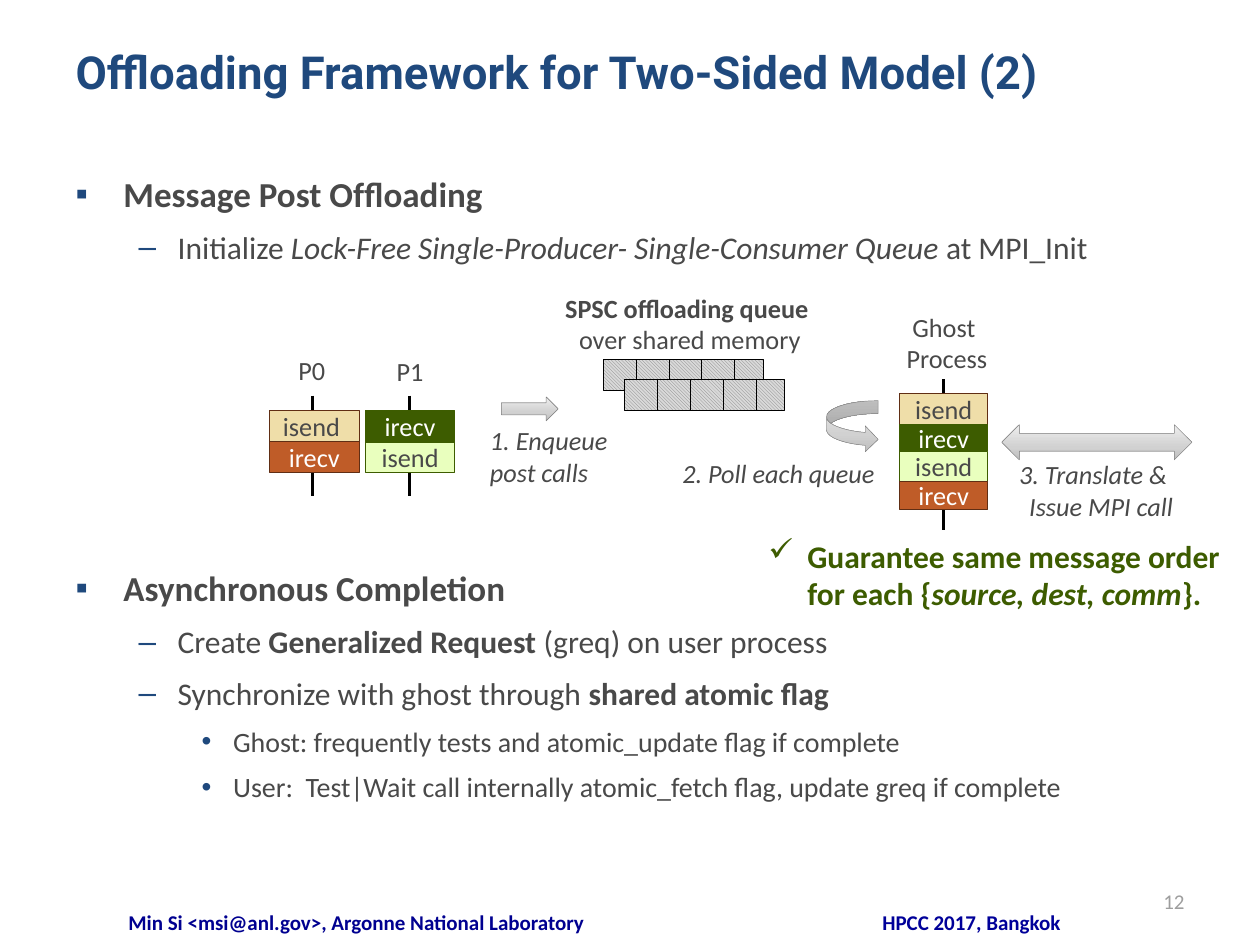
from lxml import etree
from pptx import Presentation
from pptx.dml.color import RGBColor
from pptx.enum.dml import MSO_PATTERN
from pptx.enum.shapes import MSO_CONNECTOR, MSO_SHAPE
from pptx.enum.text import MSO_ANCHOR as Anchor, MSO_AUTO_SIZE as AutoSize, PP_ALIGN as Align
from pptx.oxml.ns import qn
from pptx.util import Inches, Pt

COLORS = {
    "navy": "1F497D", "text": "494949", "white": "FFFFFF", "black": "000000",
    "footer_left": "000090", "footer_right": "000099", "number": "9E9E9E",
    "sand": "EFDEA9", "rust": "BF5C28", "brown": "602E14",
    "lime": "E9FFBE", "green": "3D5C00", "gray": "808080", "pale": "D9D9D9",
    "arrow_dark": "BDBDBD", "arrow_mid": "D1D1D1", "arrow_light": "EEEEEE",
}
LABEL = {"size": Pt(15), "name": "Calibri", "color": "text"}
ITALIC = {**LABEL, "italic": True}
BOLD = {"bold": True}
LEVELS = [
    {"size": 20, "left": 0.38, "hang": 0.38, "mark": "▪"},
    {"size": 18, "left": 0.81, "hang": 0.31, "mark": "–"},
    {"size": 16, "left": 1.25, "hang": 0.25, "mark": "•"},
]
DIAGRAM_GAP = 167
BODY = [
    (0, [("Message Post Ofﬂoading", BOLD)]),
    (1, [("Initialize ", {}),
         ("Lock-Free Single-Producer- Single-Consumer Queue", {"italic": True}),
         (" at MPI_Init", {})]),
    (0, [("Asynchronous Completion", BOLD)]),
    (1, [("Create ", {}), ("Generalized Request", BOLD), (" (greq) on user process", {})]),
    (1, [("Synchronize with ghost through ", {}), ("shared atomic flag", BOLD)]),
    (2, [("Ghost: frequently tests and atomic_update flag if complete", {})]),
    (2, [("User:  Test|Wait call internally atomic_fetch flag, update greq if complete", {})]),
]
CALLS = {
    "sand": ("brown", "text"), "rust": ("brown", "white"),
    "lime": ("green", "text"), "green": ("green", "white"),
}


def rgb(name):
    return RGBColor.from_string(COLORS[name])


def inches(values):
    return [Inches(value) for value in values]


def set_attributes(target, values):
    for name, value in values.items():
        setattr(target, name, value)


def add_span(para, text, style):
    span = para.add_run()
    span.text = text
    set_attributes(span.font, {k: v for k, v in style.items() if k != "color"})
    span.font.color.rgb = rgb(style["color"])


def add_bullet(para, mark, color, left, hang):
    properties = para._p.get_or_add_pPr()
    properties.set("marL", str(Inches(left)))
    properties.set("indent", str(-Inches(hang)))
    bullet_color = etree.SubElement(properties, qn("a:buClr"))
    etree.SubElement(bullet_color, qn("a:srgbClr"), val=COLORS[color])
    etree.SubElement(properties, qn("a:buChar"), char=mark)


def fill_text(frame, lines, style, align=Align.LEFT):
    for index, spans in enumerate(lines):
        para = frame.add_paragraph() if index else frame.paragraphs[0]
        para.alignment = align
        for text, extra in spans:
            add_span(para, text, {**style, **extra})


def add_label(page, place, lines, style, align=Align.LEFT, **frame_format):
    frame = page.shapes.add_textbox(*inches(place)).text_frame
    set_attributes(frame, {"word_wrap": True, **frame_format})
    fill_text(frame, lines, style, align)
    return frame


def add_outlined(page, kind, place, color, width):
    shape = page.shapes.add_shape(kind, *inches(place))
    shape.shadow.inherit = False
    shape.line.color.rgb = rgb(color)
    shape.line.width = Pt(width)
    return shape


def add_call(page, place, text, fill, width=0.5):
    outline, color = CALLS[fill]
    box = add_outlined(page, MSO_SHAPE.RECTANGLE, place, outline, width)
    box.fill.solid()
    box.fill.fore_color.rgb = rgb(fill)
    set_attributes(box.text_frame, {
        "margin_left": Inches(0.04), "margin_right": Inches(0.04),
        "vertical_anchor": Anchor.MIDDLE, "word_wrap": True,
    })
    fill_text(box.text_frame, [[(text, {})]], {**LABEL, "color": color}, Align.CENTER)


def add_vertical(page, x, top, bottom, width):
    line = page.shapes.add_connector(MSO_CONNECTOR.STRAIGHT, *inches((x, top, x, bottom)))
    line.line.color.rgb = rgb("black")
    line.line.width = Pt(width)
    etree.SubElement(line._element.spPr, qn("a:effectLst"))


def add_arrow(page, kind, place, adjustments=()):
    arrow = add_outlined(page, kind, place, "gray", 0.25)
    for index, value in enumerate(adjustments):
        arrow.adjustments[index] = value
    arrow.fill.gradient()
    gradient = arrow._element.spPr.find(qn("a:gradFill"))
    stops = gradient.find(qn("a:gsLst"))
    for stop in list(stops):
        stops.remove(stop)
    for position, color in ((0, "arrow_dark"), (35, "arrow_mid"), (100, "arrow_light")):
        stop = etree.SubElement(stops, qn("a:gs"), pos=str(position * 1000))
        etree.SubElement(stop, qn("a:srgbClr"), val=COLORS[color])
    gradient.find(qn("a:lin")).set("ang", str(270 * 60000))


def add_queue(page, left, top):
    queue = add_outlined(page, MSO_SHAPE.RECTANGLE, (left, top, 1.27, 0.25), "black", 0.5)
    queue.fill.patterned()
    queue.fill.pattern = MSO_PATTERN.LIGHT_DOWNWARD_DIAGONAL
    queue.fill.fore_color.rgb = rgb("gray")
    queue.fill.back_color.rgb = rgb("pale")
    for cell in range(1, 5):
        add_vertical(page, left + 0.26 * cell, top, top + 0.25, 0.5)


def place_placeholder(shape, place):
    set_attributes(shape, dict(zip(("left", "top", "width", "height"), inches(place))))
    set_attributes(shape.text_frame, {
        "vertical_anchor": Anchor.TOP, "auto_size": AutoSize.NONE, "word_wrap": True,
    })
    return shape.text_frame


def add_title(page):
    frame = place_placeholder(page.shapes.title, (0.5, 0.3, 9, 0.87))
    style = {"size": Pt(26), "name": "Roboto", "bold": True, "color": "navy"}
    fill_text(frame, [[("Offloading Framework for Two-Sided Model (2)", {})]], style)


def add_body(page):
    frame = place_placeholder(page.placeholders[1], (0.5, 1.25, 9, 5.67))
    for index, (level, spans) in enumerate(BODY):
        para = frame.add_paragraph() if index else frame.paragraphs[0]
        form = LEVELS[level]
        add_bullet(para, form["mark"], "navy", form["left"], form["hang"])
        gap = DIAGRAM_GAP if index and level == 0 else form["size"] * 0.2
        set_attributes(para, {
            "level": level, "line_spacing": 1.2, "space_before": Pt(gap if index else 0),
        })
        style = {**LABEL, "size": Pt(form["size"]), "bold": False}
        for text, extra in spans:
            add_span(para, text, {**style, **extra})


def add_processes(page):
    for x, top, bottom in ((2.48, 3.14, 3.94), (3.25, 3.14, 3.94), (7.49, 3.01, 4.21)):
        add_vertical(page, x, top, bottom, 2)
    add_call(page, (2.14, 3.26, 0.71, 0.25), "isend ", "sand")
    add_call(page, (2.14, 3.5, 0.71, 0.25), "irecv", "rust")
    add_call(page, (2.9, 3.5, 0.71, 0.25), "isend", "lime", 0.75)
    add_call(page, (2.9, 3.26, 0.71, 0.25), "irecv", "green", 0.75)
    ghost_calls = ((3.12, 0.25, "isend", "sand"), (3.37, 0.22, "irecv", "green"),
                   (3.58, 0.24, "isend", "lime"), (3.82, 0.22, "irecv", "rust"))
    for top, height, text, fill in ghost_calls:
        add_call(page, (7.14, top, 0.7, height), text, fill)
    for left, top, name in ((2.23, 2.76, "P0"), (3.01, 2.77, "P1")):
        add_label(page, (left, top, 0.49, 0.35), [[(name, {})]], LABEL, Align.CENTER)
    add_label(page, (7.09, 2.42, 0.85, 0.61), [[("Ghost ", {})], [("Process", {})]],
              LABEL, Align.CENTER, word_wrap=False)


def add_steps(page):
    add_queue(page, 4.79, 2.85)
    add_queue(page, 4.96, 3.01)
    add_label(page, (4.05, 2.27, 2.85, 0.61),
              [[("SPSC offloading queue ", BOLD)], [("over shared memory", {})]],
              LABEL, Align.CENTER)
    add_arrow(page, MSO_SHAPE.RIGHT_ARROW, (3.98, 3.15, 0.45, 0.19))
    add_arrow(page, MSO_SHAPE.CURVED_RIGHT_ARROW, (6.56, 3.18, 0.41, 0.41), (0.25, 0.6, 0.25))
    add_arrow(page, MSO_SHAPE.LEFT_RIGHT_ARROW, (7.95, 3.37, 1.51, 0.28))
    add_label(page, (3.79, 3.32, 1.25, 0.61), [[("1. Enqueue", {})], [("post calls", {})]], ITALIC)
    add_label(page, (5.29, 3.58, 1.75, 0.35), [[("2. Poll each queue", {})]],
              ITALIC, Align.RIGHT, word_wrap=False)
    add_label(page, (8.04, 3.59, 1.31, 0.61), [[("3. Translate & ", {})], [("Issue MPI call", {})]],
              ITALIC, Align.RIGHT, word_wrap=False,
              margin_left=Inches(0.04), margin_right=Inches(0.04))


def add_guarantee(page):
    style = {**LABEL, "size": Pt(18), "bold": True, "color": "green"}
    spans = [("Guarantee same message order for each {", {}),
             ("source, dest, comm", {"italic": True}), ("}.", {})]
    frame = add_label(page, (6, 4.21, 3.81, 0.71), [spans], style)
    add_bullet(frame.paragraphs[0], "✓", "green", 0.31, 0.31)


def add_footer(page):
    small = {**LABEL, "size": Pt(12)}
    for place, text, color in (
        ((0.83, 7.17, 4, 0.25), "Min Si <msi@anl.gov>, Argonne National Laboratory", "footer_left"),
        ((5.75, 7.17, 3.92, 0.25), "HPCC 2017, Bangkok", "footer_right"),
    ):
        add_label(page, place, [[(text, BOLD)]], {**small, "color": color}, Align.CENTER)
    add_label(page, (7.17, 6.95, 2.33, 0.4), [[("12", {})]], {**small, "color": "number"},
              Align.RIGHT, vertical_anchor=Anchor.MIDDLE)


def main():
    deck = Presentation()
    set_attributes(deck, {"slide_width": Inches(10), "slide_height": Inches(7.5)})
    page = deck.slides.add_slide(deck.slide_layouts[1])
    for add_part in (add_title, add_body, add_processes, add_steps, add_guarantee, add_footer):
        add_part(page)
    deck.save("out.pptx")


if __name__ == "__main__":
    main()
